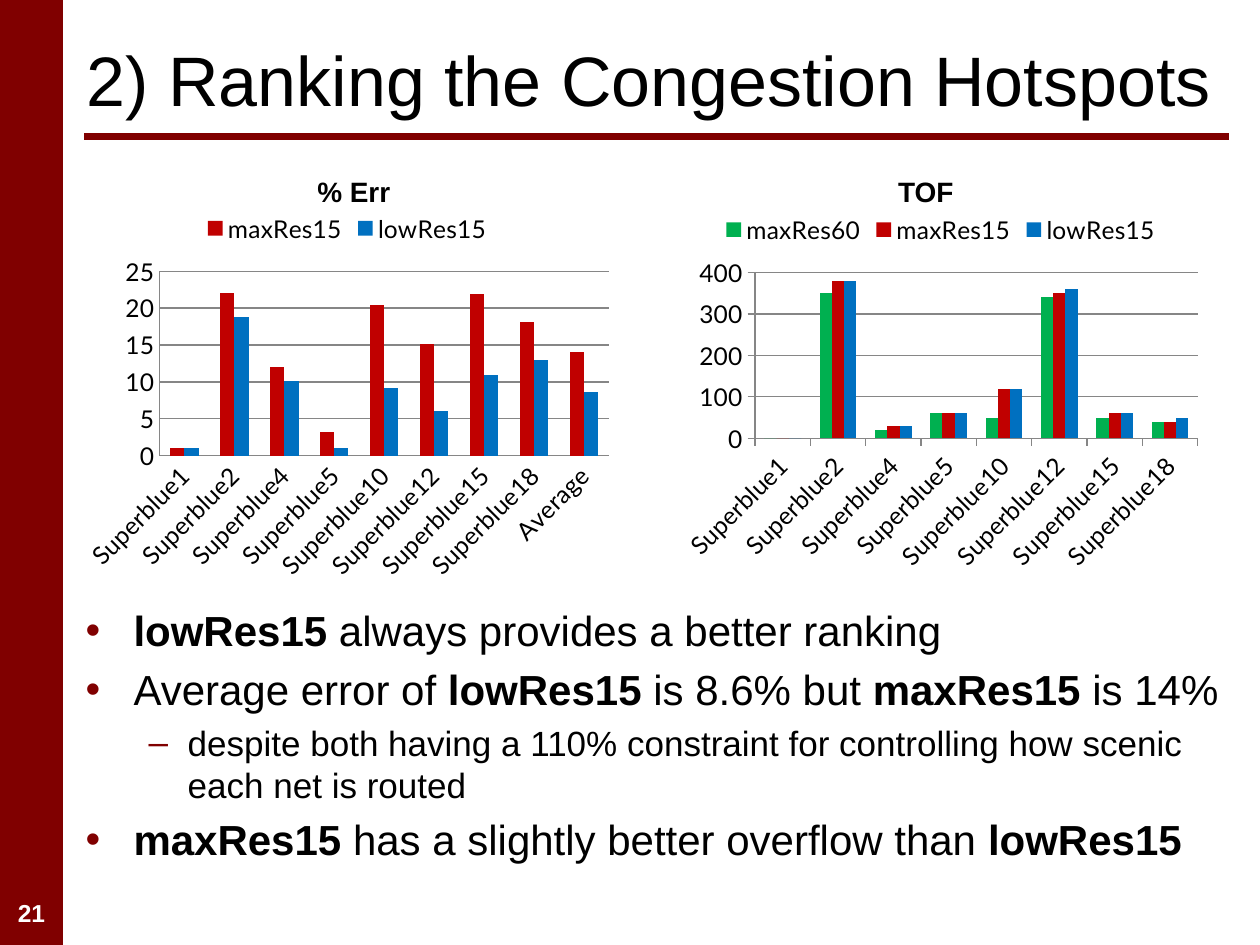
from lxml.etree import SubElement
from pptx import Presentation
from pptx.chart.data import CategoryChartData
from pptx.dml.color import RGBColor
from pptx.enum.chart import XL_CHART_TYPE, XL_LEGEND_POSITION, XL_TICK_MARK
from pptx.enum.shapes import MSO_CONNECTOR, MSO_SHAPE
from pptx.enum.text import MSO_ANCHOR, MSO_AUTO_SIZE, PP_ALIGN
from pptx.oxml.ns import qn
from pptx.util import Inches, Pt

MAROON, BLACK, WHITE, GRAY = "800000", "000000", "FFFFFF", "868686"
RED, BLUE, GREEN = "C00000", "0070C0", "00B050"


def color(code):
    return RGBColor.from_string(code)


def apply(item, **values):
    for name, value in values.items():
        setattr(item, name, value)


def place(*sides):
    return [Inches(side) for side in sides]


class Deck:
    face = "Arial"
    chart_face = "Lato"
    levels = [("•", 24, 0.38, -0.38), ("–", 20, 0.81, -0.31)]

    def __init__(self):
        self.show = Presentation()
        apply(self.show, slide_width=Inches(10), slide_height=Inches(7.5))
        self.slide = self.show.slides.add_slide(self.show.slide_layouts[1])
        self.shapes = self.slide.shapes

    def style(self, font, size, code=BLACK, **values):
        apply(font, **{"name": self.face, "size": Pt(size), **values})
        font.color.rgb = color(code)

    def move(self, shape, *box):
        apply(shape, **dict(zip(("left", "top", "width", "height"), place(*box))))

    def band(self, *box):
        shape = self.shapes.add_shape(MSO_SHAPE.RECTANGLE, *place(*box))
        shape.shadow.inherit = False
        shape.fill.solid()
        shape.fill.fore_color.rgb = color(MAROON)
        shape.line.fill.background()

    def rule(self, *ends):
        line = self.shapes.add_connector(MSO_CONNECTOR.STRAIGHT, *place(*ends))
        line.line.color.rgb = color(MAROON)
        line.line.width = Pt(4)
        SubElement(line.element.spPr, qn("a:effectLst"))

    def label(self, text, box, size, code=BLACK, wrap=False, align=PP_ALIGN.LEFT):
        frame = self.shapes.add_textbox(*place(*box)).text_frame
        apply(frame, word_wrap=wrap, auto_size=MSO_AUTO_SIZE.SHAPE_TO_FIT_TEXT)
        para = frame.paragraphs[0]
        para.alignment = align
        run = para.add_run()
        run.text = text
        self.style(run.font, size, code, bold=True)

    def title(self, text, *box):
        shape = self.shapes.title
        self.move(shape, *box)
        frame = shape.text_frame
        apply(frame, vertical_anchor=MSO_ANCHOR.MIDDLE, auto_size=MSO_AUTO_SIZE.NONE)
        para = frame.paragraphs[0]
        para.alignment = PP_ALIGN.LEFT
        run = para.add_run()
        run.text = text
        self.style(run.font, 40)

    def body(self, items, *box):
        shape = self.slide.placeholders[1]
        self.move(shape, *box)
        frame = shape.text_frame
        apply(frame, word_wrap=True, auto_size=MSO_AUTO_SIZE.NONE)
        for index, (level, runs) in enumerate(items):
            para = frame.add_paragraph() if index else frame.paragraphs[0]
            mark, size, left, indent = self.levels[level]
            props = para._p.get_or_add_pPr()
            props.set("marL", str(Inches(left)))
            props.set("indent", str(Inches(indent)))
            tint = SubElement(props, qn("a:buClr"))
            SubElement(tint, qn("a:srgbClr"), val=MAROON)
            SubElement(props, qn("a:buChar"), char=mark)
            apply(para, level=level, space_before=Pt(size * 0.2 if index else 0))
            for text, bold in runs:
                run = para.add_run()
                run.text = text
                self.style(run.font, size, bold=bold)

    def chart(self, names, series, box, top, step, tick):
        data = CategoryChartData()
        data.categories = names
        for name, code, values in series:
            data.add_series(name, values)
        chart = self.shapes.add_chart(
            XL_CHART_TYPE.COLUMN_CLUSTERED, *place(*box), data).chart
        apply(chart, has_title=False, has_legend=True)
        self.style(chart.font, 14, name=self.chart_face)
        apply(chart.legend, position=XL_LEGEND_POSITION.TOP, include_in_layout=False)
        plot = chart.plots[0]
        apply(plot, gap_width=150, overlap=0, vary_by_categories=False)
        for bars, (name, code, values) in zip(plot.series, series):
            bars.format.fill.solid()
            bars.format.fill.fore_color.rgb = color(code)
        cats, vals = chart.category_axis, chart.value_axis
        apply(vals, minimum_scale=0, maximum_scale=top, major_unit=step,
              has_major_gridlines=True)
        for axis in (cats, vals):
            apply(axis, major_tick_mark=tick, minor_tick_mark=XL_TICK_MARK.NONE)
        for part in (cats, vals, vals.major_gridlines):
            part.format.line.color.rgb = color(GRAY)
            part.format.line.width = Pt(0.75)


def main():
    deck = Deck()
    deck.band(0, 0, 0.5, 7.5)
    deck.rule(0.67, 1.08, 9.75, 1.08)
    deck.label("21", (0, 7.08, 0.5, 0.33), 14, WHITE, True, PP_ALIGN.CENTER)
    deck.title("2) Ranking the Congestion Hotspots", 0.59, 0.08, 9.17, 1.08)
    low, high = ("lowRes15", True), ("maxRes15", True)
    deck.body([
        (0, [low, (" always provides a better ranking", False)]),
        (0, [("Average error of ", False), low, (" is 8.6% but ", False),
             high, (" is 14%", False)]),
        (1, [("despite both having a 110% constraint for controlling "
              "how scenic each net is routed", False)]),
        (0, [high, (" has a slightly better overflow than ", False), low]),
    ], 0.58, 4.75, 9.42, 2.5)
    names = [f"Superblue{n}" for n in (1, 2, 4, 5, 10, 12, 15, 18)]
    deck.chart(names + ["Average"], [
        ("maxRes15", RED, (1, 22.1, 12, 3.2, 20.4, 15.2, 21.9, 18.1, 14.1)),
        ("lowRes15", BLUE, (1, 18.8, 10.1, 1, 9.2, 6.1, 10.9, 13, 8.6)),
    ], (0.59, 1.58, 4.33, 3.09), 25, 5, XL_TICK_MARK.NONE)
    deck.chart(names, [
        ("maxRes60", GREEN, (0, 350, 20, 60, 50, 340, 50, 40)),
        ("maxRes15", RED, (0, 380, 30, 60, 120, 350, 60, 40)),
        ("lowRes15", BLUE, (0, 380, 30, 60, 120, 360, 60, 50)),
    ], (5.34, 1.59, 4.25, 3), 400, 100, XL_TICK_MARK.OUTSIDE)
    deck.label("% Err", (2.42, 1.34, 0.79, 0.37), 16)
    deck.label("TOF", (7.03, 1.34, 0.65, 0.37), 16)
    deck.show.save("out.pptx")


if __name__ == "__main__":
    main()
